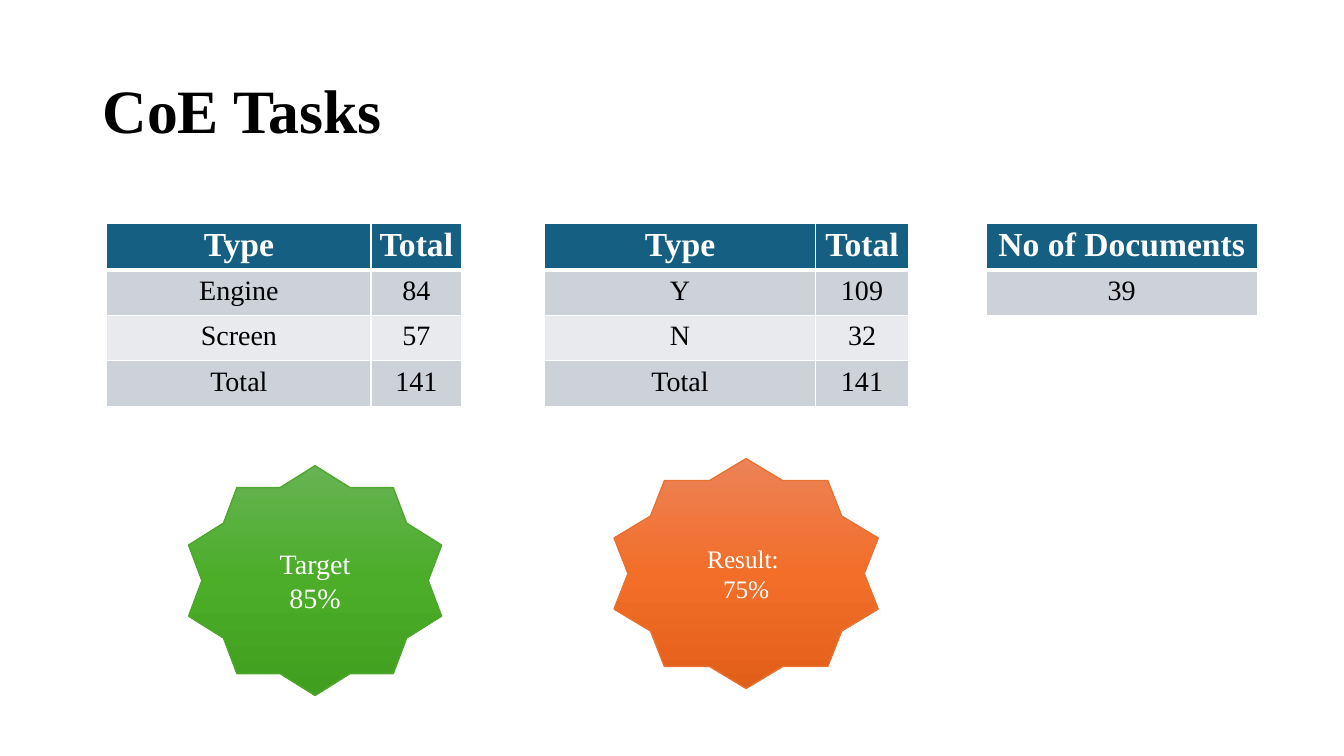
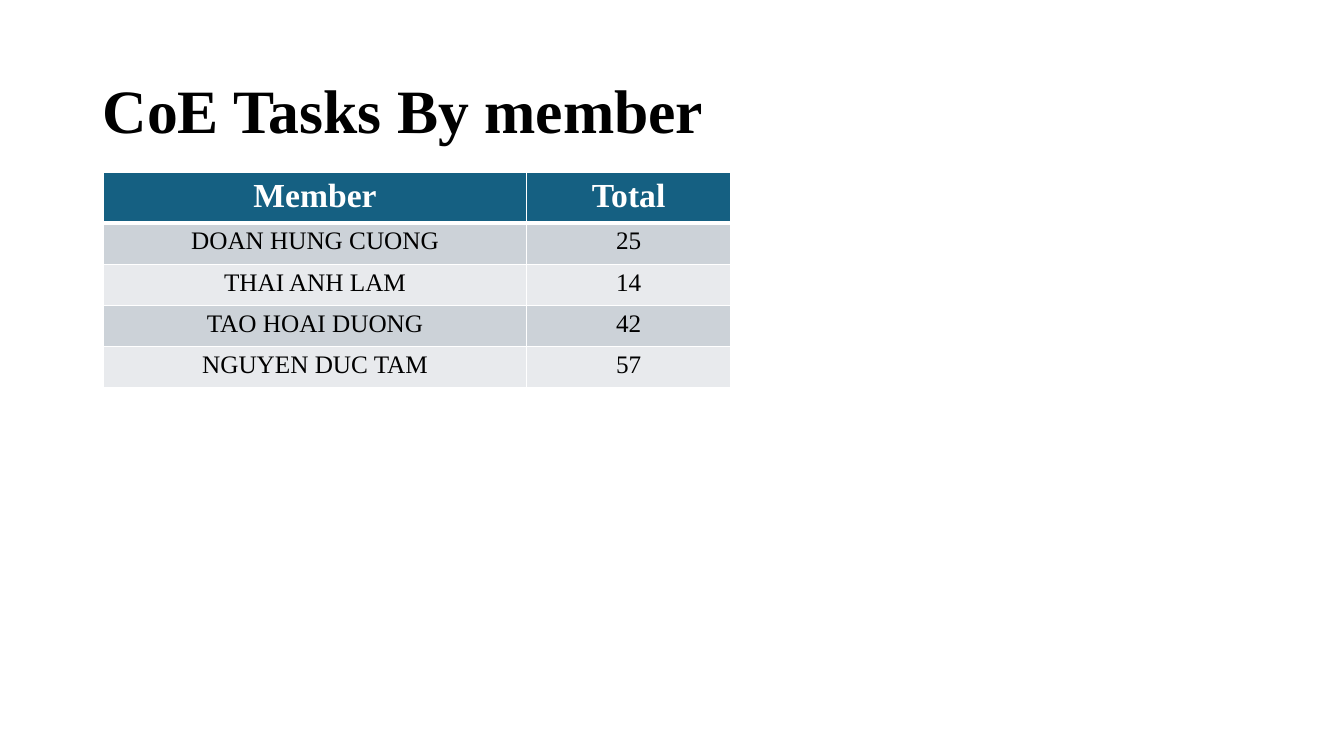
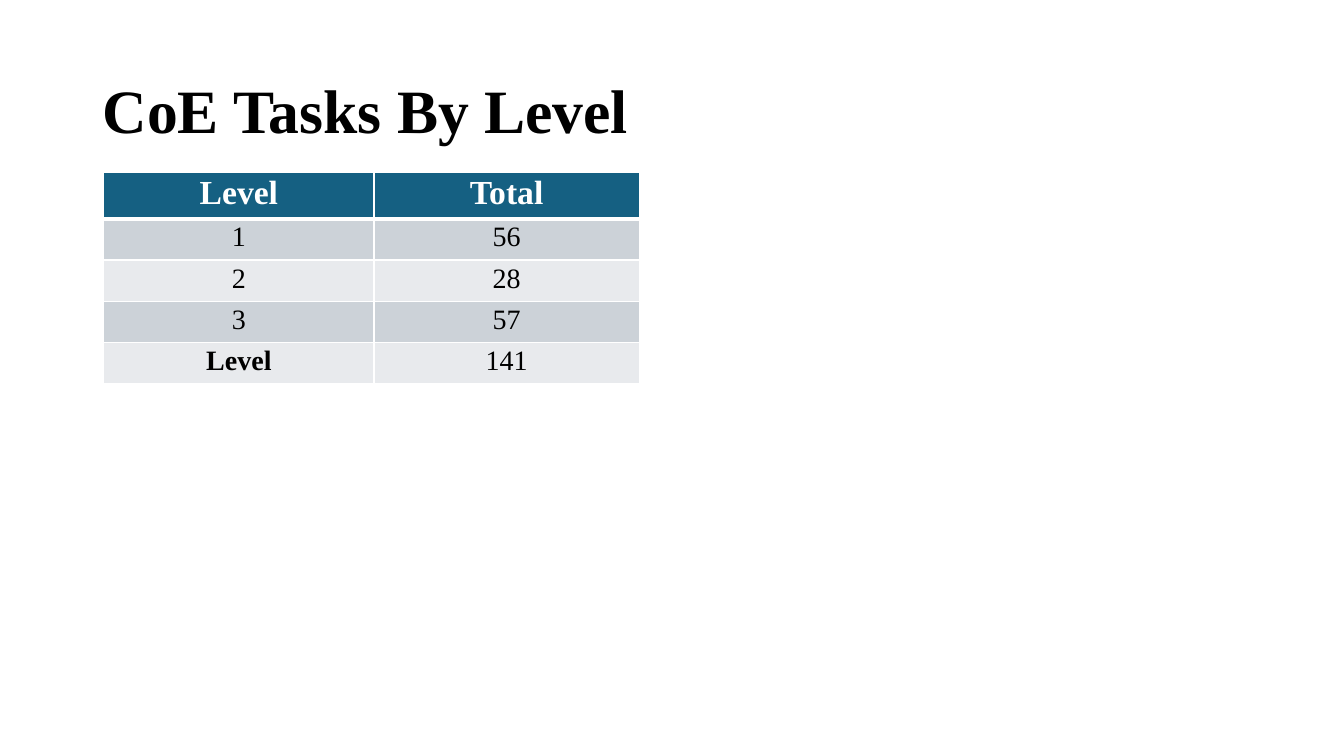
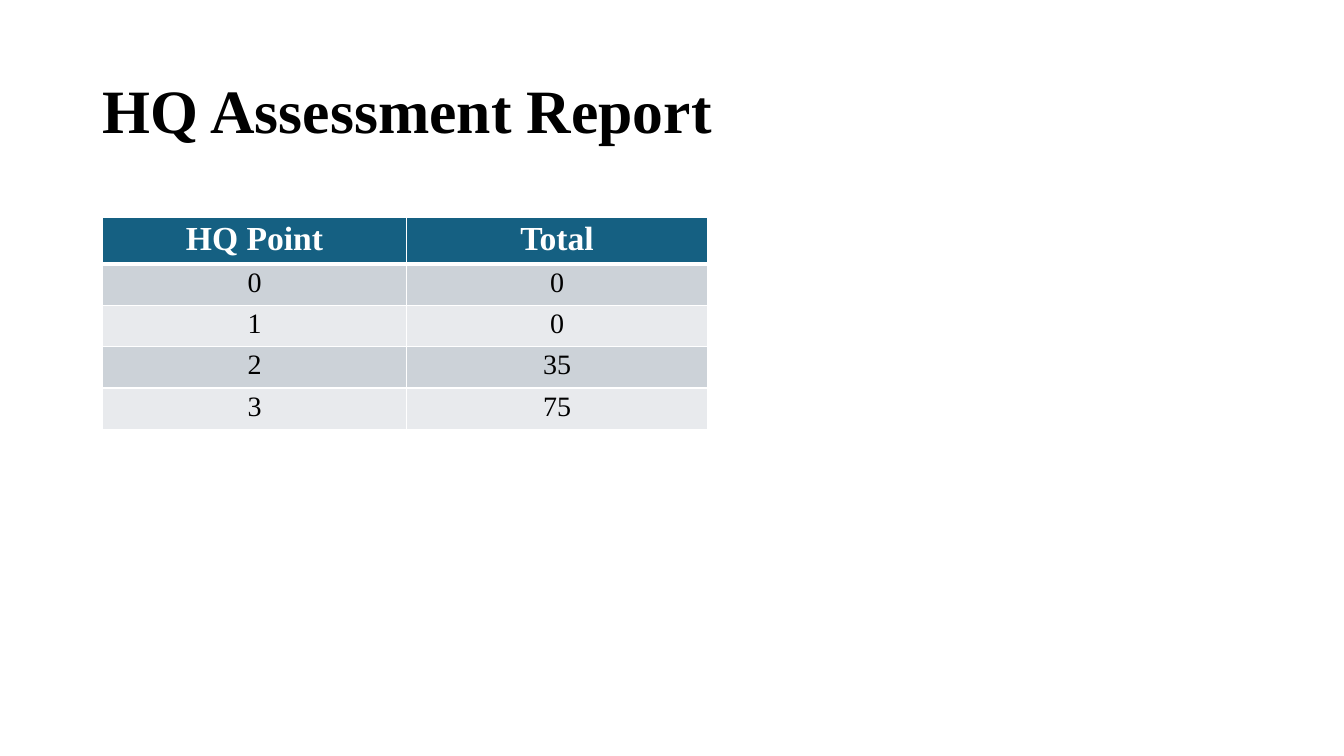
import copy

import pptx
import pptx.dml.color
import pptx.enum.shapes
import pptx.enum.text
import pptx.oxml
import pptx.oxml.ns
import pptx.util

Inches = pptx.util.Inches
Pt = pptx.util.Pt
RGBColor = pptx.dml.color.RGBColor
qn = pptx.oxml.ns.qn
CENTER = pptx.enum.text.PP_ALIGN.CENTER
MIDDLE = pptx.enum.text.MSO_ANCHOR.MIDDLE
TOP = pptx.enum.text.MSO_ANCHOR.TOP

FONT = "Times New Roman"
BLACK = RGBColor(0x00, 0x00, 0x00)
WHITE = RGBColor(0xFF, 0xFF, 0xFF)
HEADER_BLUE = RGBColor(0x15, 0x60, 0x82)
BANDS = (RGBColor(0xCC, 0xD2, 0xD8), RGBColor(0xE8, 0xEA, 0xED))
GREEN_LINE = RGBColor(0x4E, 0xA7, 0x2E)
GREEN_SHADES = (RGBColor(0x66, 0xB3, 0x54), RGBColor(0x4B, 0xAD, 0x28), RGBColor(0x40, 0x9F, 0x1E))
ORANGE_LINE = RGBColor(0xE9, 0x71, 0x32)
ORANGE_SHADES = (RGBColor(0xED, 0x82, 0x57), RGBColor(0xF2, 0x6E, 0x29), RGBColor(0xE2, 0x5F, 0x1A))


class Report:
    def __init__(self):
        self.deck = pptx.Presentation()
        self.deck.slide_width = Inches(13.33)
        self.deck.slide_height = Inches(7.5)
        self.page = None

    def new_page(self, title):
        self.page = self.deck.slides.add_slide(self.deck.slide_layouts[6])
        box = self.page.shapes.add_textbox(Inches(0.92), Inches(0.4), Inches(11.5), Inches(1.45))
        frame = box.text_frame
        frame.word_wrap = True
        frame.vertical_anchor = MIDDLE
        para = frame.paragraphs[0]
        para.text = title
        para.line_spacing = 0.9
        self.style(para, 44, BLACK, bold=True)

    def style(self, para, size, color, bold=False):
        font = para.font
        font.name, font.size, font.bold = FONT, Pt(size), bold
        font.color.rgb = color

    def table(self, left, top, widths, row_height, rows, size=20, tight_header=True):
        """Add a table whose first row is the header; returns the table."""
        frame = self.page.shapes.add_table(
            len(rows), len(widths), Inches(left), Inches(top),
            Inches(sum(widths)), Inches(row_height * len(rows)))
        table = frame.table
        for column, width in zip(table.columns, widths):
            column.width = Inches(width)
        for row_index, texts in enumerate(rows):
            table.rows[row_index].height = Inches(row_height)
            for column_index, text in enumerate(texts):
                cell = table.cell(row_index, column_index)
                header = row_index == 0
                self.borders(cell, top=3 if row_index == 1 else 1, bottom=3 if header else 1)
                cell.fill.solid()
                cell.fill.fore_color.rgb = HEADER_BLUE if header else BANDS[(row_index - 1) % 2]
                if tight_header or not header:
                    cell.margin_left = cell.margin_right = cell.margin_top = Inches(0.01)
                    cell.margin_bottom = Inches(0.05)
                    cell.vertical_anchor = MIDDLE
                else:
                    cell.vertical_anchor = TOP
                para = cell.text_frame.paragraphs[0]
                para.text = text
                para.alignment = CENTER
                self.style(para, 24 if header else size, WHITE if header else BLACK, header)
        return table

    def borders(self, cell, top, bottom):
        properties = cell._tc.get_or_add_tcPr()
        for side, width in (("L", 1), ("R", 1), ("T", top), ("B", bottom)):
            properties.append(pptx.oxml.parse_xml(
                f'<a:ln{side} {pptx.oxml.ns.nsdecls("a")} w="{Pt(width)}">'
                f'<a:solidFill><a:srgbClr val="{WHITE}"/></a:solidFill></a:ln{side}>'))

    def star(self, left, top, width, lines, size, shades, line_color):
        star = self.page.shapes.add_shape(
            pptx.enum.shapes.MSO_SHAPE.STAR_10_POINT,
            Inches(left), Inches(top), Inches(width), Inches(2.28))
        star.shadow.inherit = False
        star.line.color.rgb = line_color
        star.line.width = Pt(1)
        star.fill.gradient()
        star.fill.gradient_angle = 270
        stop_list = star._element.spPr.find(".//" + qn("a:gsLst"))
        stop_list.insert(1, copy.deepcopy(stop_list[0]))
        for stop, position, shade in zip(star.fill.gradient_stops, (0, 0.5, 1), shades):
            stop.position = position
            stop.color.rgb = shade
        frame = star.text_frame
        frame.vertical_anchor = MIDDLE
        frame.text = "\n".join(lines)
        for para in frame.paragraphs:
            para.alignment = CENTER
            self.style(para, size, WHITE)


def main():
    report = Report()

    report.new_page("CoE Tasks")
    report.table(1.06, 2.22, (2.62, 0.9), 0.45, [
        ("Type", "Total"), ("Engine", "84"), ("Screen", "57"), ("Total", "141")])
    report.table(5.4, 2.22, (2.69, 0.92), 0.45, [
        ("Type", "Total"), ("Y", "109"), ("N", "32"), ("Total", "141")])
    report.table(9.78, 2.22, (2.69,), 0.45, [("No of Documents",), ("39",)])
    report.star(1.87, 4.62, 2.51, ("Target", "85%"), 20, GREEN_SHADES, GREEN_LINE)
    report.star(6.09, 4.55, 2.62, ("Result: ", "75%"), 18, ORANGE_SHADES, ORANGE_LINE)

    report.new_page("CoE Tasks By member")
    report.table(1.03, 1.71, (4.19, 2.03), 0.41, [
        ("Member", "Total"), ("DOAN HUNG CUONG", "25"), ("THAI ANH LAM", "14"),
        ("TAO HOAI DUONG", "42"), ("NGUYEN DUC TAM", "57")], size=18, tight_header=False)

    report.new_page("CoE Tasks By Level")
    levels = report.table(1.03, 1.71, (2.68, 2.63), 0.41, [
        ("Level", "Total"), ("1", "56"), ("2", "28"), ("3", "57"), ("Level", "141")])
    levels.cell(4, 0).text_frame.paragraphs[0].font.bold = True

    report.new_page("HQ Assessment Report")
    report.table(1.02, 2.16, (3.01, 2.99), 0.41, [
        ("HQ Point", "Total"), ("0", "0"), ("1", "0"), ("2", "35"), ("3", "75")])

    report.deck.save("out.pptx")


if __name__ == "__main__":
    main()
